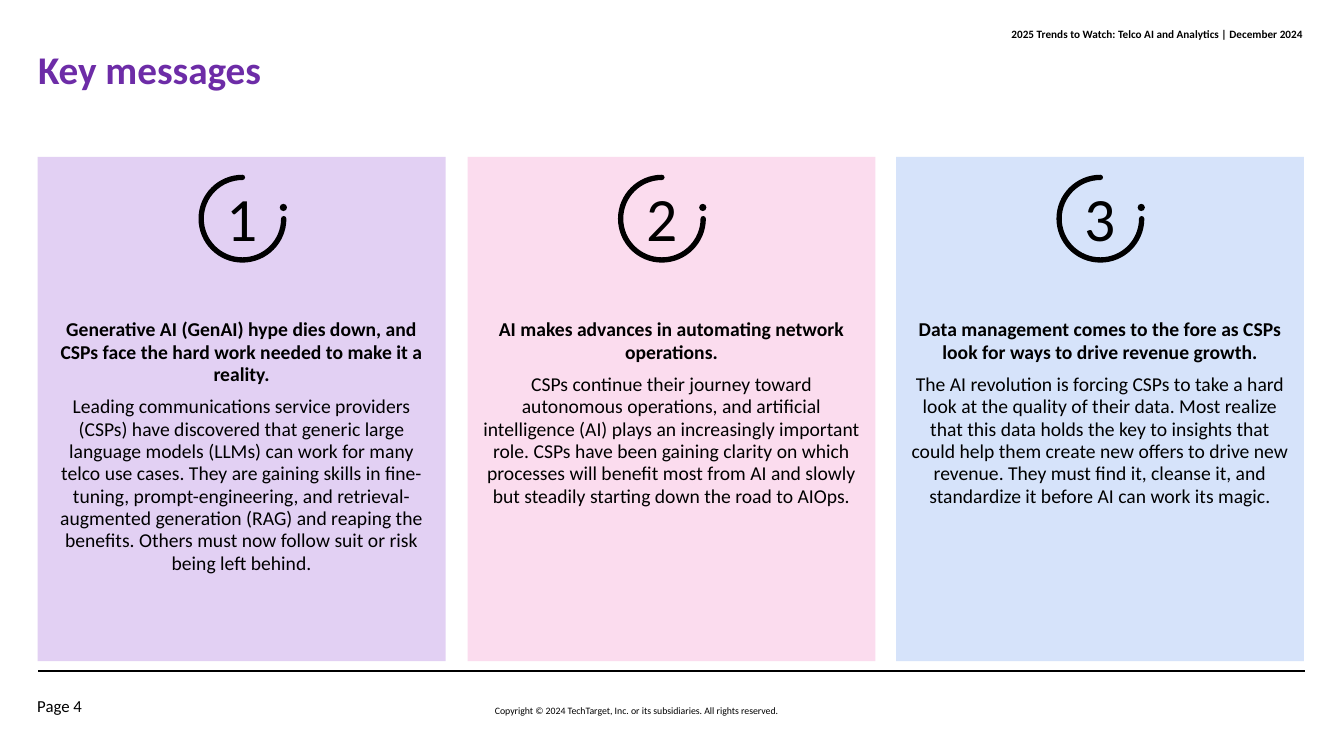
import math

from lxml import etree
from pptx import Presentation
from pptx.dml.color import RGBColor
from pptx.enum.shapes import MSO_CONNECTOR, MSO_SHAPE
from pptx.enum.text import MSO_ANCHOR, MSO_AUTO_SIZE, PP_ALIGN
from pptx.oxml.ns import qn
from pptx.util import Pt

LEFT, CENTER, RIGHT = PP_ALIGN.LEFT, PP_ALIGN.CENTER, PP_ALIGN.RIGHT
TOP, MIDDLE, BOTTOM = MSO_ANCHOR.TOP, MSO_ANCHOR.MIDDLE, MSO_ANCHOR.BOTTOM
GROW, FIXED = MSO_AUTO_SIZE.SHAPE_TO_FIT_TEXT, MSO_AUTO_SIZE.NONE
RECTANGLE = MSO_SHAPE.RECTANGLE
STRAIGHT = MSO_CONNECTOR.STRAIGHT

FONT = "Calibri"
COLORS = {
    "black": "000000",
    "purple": "6D2CA7",
    "lilac": "E2D0F3",
    "pink": "FBDCEE",
    "blue": "D6E3FA",
}

CARD_TOP, CARD_WIDTH, CARD_HEIGHT = 112, 291.4, 360.3
BADGE_TOP, BADGE_SIZE = 124.8, 62.8
RING_WIDTH, DOT_SIZE = 3.8, 5.2

CARDS = [
    (26.9, 141.8, "lilac",
     "Generative AI (GenAI) hype dies down, and CSPs face the hard work needed "
     "to make it a reality.",
     "Leading communications service providers (CSPs) have discovered that "
     "generic large language models (LLMs) can work for many telco use cases. "
     "They are gaining skills in fine-tuning, prompt-engineering, and "
     "retrieval-augmented generation (RAG) and reaping the benefits. Others "
     "must now follow suit or risk being left behind."),
    (334, 441.4, "pink",
     "AI makes advances in automating network operations.",
     "CSPs continue their journey toward autonomous operations, and artificial "
     "intelligence (AI) plays an increasingly important role. CSPs have been "
     "gaining clarity on which processes will benefit most from AI and slowly "
     "but steadily starting down the road to AIOps."),
    (640.1, 754.6, "blue",
     "Data management comes to the fore as CSPs look for ways to drive revenue "
     "growth.",
     "The AI revolution is forcing CSPs to take a hard look at the quality of "
     "their data. Most realize that this data holds the key to insights that "
     "could help them create new offers to drive new revenue. They must find "
     "it, cleanse it, and standardize it before AI can work its magic."),
]


def color(name):
    return RGBColor.from_string(COLORS[name])


def paint(shape, name):
    shape.shadow.inherit = False
    shape.fill.solid()
    shape.fill.fore_color.rgb = color(name)
    shape.line.fill.background()


def set_frame(frame, anchor, insets):
    frame.word_wrap = True
    frame.vertical_anchor = anchor
    (frame.margin_left, frame.margin_top,
     frame.margin_right, frame.margin_bottom) = [Pt(inset) for inset in insets]


def write(paragraph, text, size, align=LEFT, bold=False, name="black", spacing=1.0):
    paragraph.alignment = align
    paragraph.line_spacing = spacing
    run = paragraph.add_run()
    run.text = text
    run.font.name = FONT
    run.font.size = Pt(size)
    run.font.bold = bold
    run.font.color.rgb = color(name)


def add_text(shapes, box, text, size, anchor=TOP, insets=(0, 0, 0, 0),
             fit=FIXED, **style):
    text_box = shapes.add_textbox(*[Pt(length) for length in box])
    set_frame(text_box.text_frame, anchor, insets)
    text_box.text_frame.auto_size = fit
    write(text_box.text_frame.paragraphs[0], text, size, **style)


def add_rule(shapes, left, right, y):
    rule = shapes.add_connector(STRAIGHT, Pt(left), Pt(y), Pt(right), Pt(y))
    rule.line.color.rgb = color("black")
    rule.line.width = Pt(1)
    etree.SubElement(rule._element.spPr, qn("a:effectLst"))


def add_card(shapes, left, fill, heading, body):
    card = shapes.add_shape(
        RECTANGLE, Pt(left), Pt(CARD_TOP), Pt(CARD_WIDTH), Pt(CARD_HEIGHT))
    paint(card, fill)
    frame = card.text_frame
    set_frame(frame, TOP, (8.6, 115.9, 8.6, 17.3))
    first = frame.paragraphs[0]
    first.space_after = Pt(4)
    write(first, heading, 14, CENTER, bold=True, spacing=0.95)
    second = frame.add_paragraph()
    second.space_before = Pt(3)
    second.space_after = Pt(4)
    write(second, body, 14, CENTER, spacing=0.95)


def quarter_arcs(center_x, center_y, radius, start, quarters):
    turn = 1 if quarters > 0 else -1
    pull = turn * 0.5523
    curves = []
    for step in range(abs(quarters)):
        angle = math.radians(start + turn * 90 * step)
        end = angle + turn * math.pi / 2
        (c, s), (d, t) = [(math.cos(a), math.sin(a)) for a in (angle, end)]
        curves.append([(center_x + radius * x, center_y + radius * y) for x, y in (
            (c, s), (c - pull * s, s + pull * c), (d + pull * t, t - pull * d), (d, t))])
    return curves


def add_point(parent, point):
    x, y = point
    etree.SubElement(parent, qn("a:pt"), x=str(Pt(x)), y=str(Pt(y)))


def add_outline(shapes, left, top, size, curves):
    builder = shapes.build_freeform(Pt(left), Pt(top))
    builder.add_line_segments([(Pt(left + size), Pt(top + size))], close=False)
    outline = builder.convert_to_shape()
    path = outline._element.spPr.find(".//" + qn("a:path"))
    for command in list(path):
        path.remove(command)
    add_point(etree.SubElement(path, qn("a:moveTo")), curves[0][0])
    for curve in curves:
        bezier = etree.SubElement(path, qn("a:cubicBezTo"))
        for point in curve[1:]:
            add_point(bezier, point)
    etree.SubElement(path, qn("a:close"))
    paint(outline, "black")


def add_badge(shapes, left, number):
    badge = shapes.add_group_shape().shapes
    dot = DOT_SIZE / 2
    add_outline(badge, left + 58, BADGE_TOP + 20.8, DOT_SIZE,
                quarter_arcs(dot, dot, dot, 90, 4))
    outer, cap = BADGE_SIZE / 2, RING_WIDTH / 2
    ring = (quarter_arcs(outer, outer, outer, 0, 3)
            + quarter_arcs(outer, cap, cap, -90, 2)
            + quarter_arcs(outer, outer, outer - RING_WIDTH, 270, -3)
            + quarter_arcs(BADGE_SIZE - cap, outer, cap, -180, 2))
    add_outline(badge, left, BADGE_TOP, BADGE_SIZE, ring)
    add_text(badge, (left, BADGE_TOP, BADGE_SIZE, 60.5), str(number), 44,
             insets=(7.2, 3.6, 7.2, 3.6), fit=GROW, align=CENTER)


def main():
    presentation = Presentation()
    presentation.slide_width = Pt(960)
    presentation.slide_height = Pt(540)
    slide = presentation.slides.add_slide(presentation.slide_layouts[6])
    shapes = slide.shapes

    add_rule(shapes, 27.2, 932, 479.3)
    add_text(shapes, (432.7, 8.6, 498.2, 22.3),
             "2025 Trends to Watch: Telco AI and Analytics | December 2024", 8,
             anchor=MIDDLE, insets=(0, 9.6, 0, 0), align=RIGHT, bold=True)
    add_text(shapes, (277.2, 493, 355, 18.7),
             "Copyright © 2024 TechTarget, Inc. or its subsidiaries. "
             "All rights reserved.", 7,
             anchor=BOTTOM, align=CENTER, spacing=0.85)
    add_text(shapes, (26.6, 482.7, 71.3, 28.8), "Page 4", 12,
             anchor=BOTTOM, spacing=0.85)
    add_text(shapes, (27.2, 37.4, 904.3, 54), "Key messages", 28,
             bold=True, name="purple", spacing=0.85)

    for number, (left, badge_left, fill, heading, body) in enumerate(CARDS, 1):
        add_card(shapes, left, fill, heading, body)
        add_badge(shapes, badge_left, number)

    presentation.save("out.pptx")


if __name__ == "__main__":
    main()
